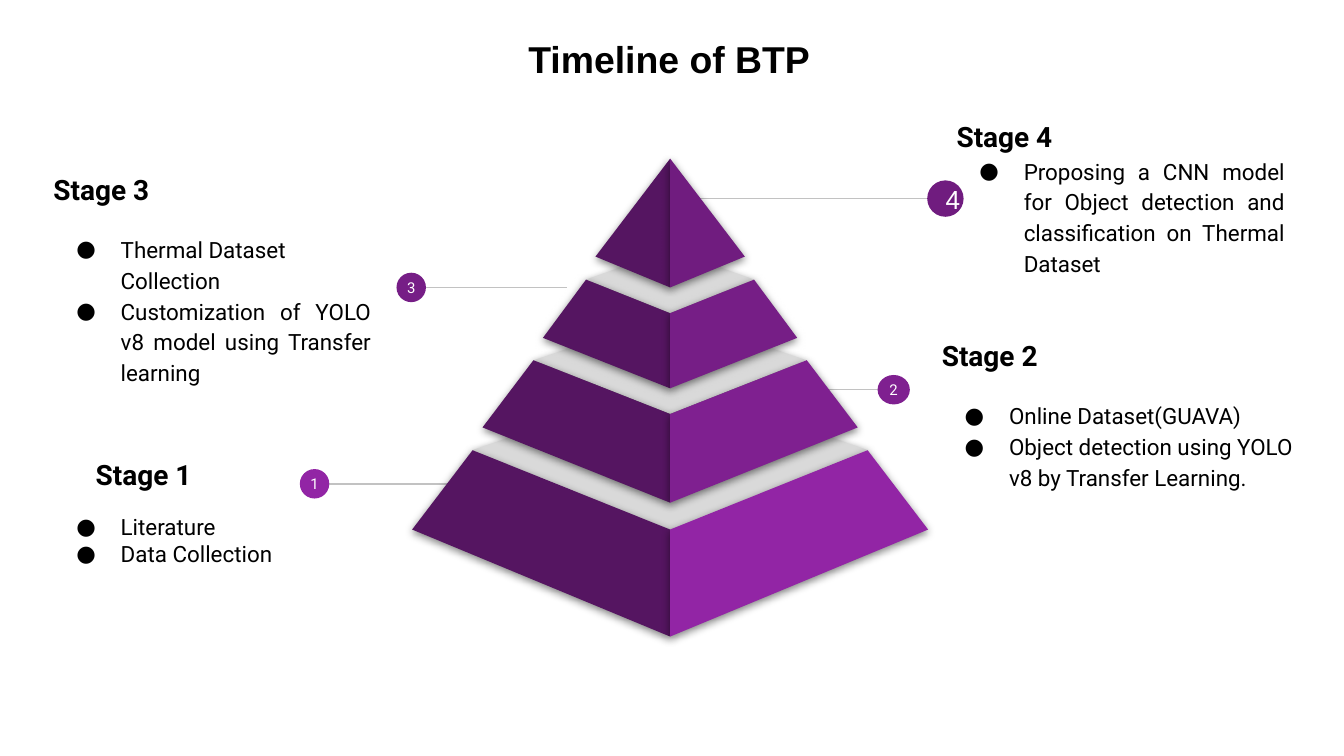
from dataclasses import dataclass

from lxml import etree
from pptx import Presentation
from pptx import util as u
from pptx.dml.color import RGBColor
from pptx.enum import shapes, text
from pptx.oxml import ns


@dataclass(frozen=True)
class Theme:
    ink: str = "000000"
    paper: str = "FFFFFF"
    rule: str = "C2C2C2"
    lid: str = "D9D9D9"
    shade: str = "551561"
    purples: tuple[str, ...] = ("9225A5", "7F2090", "761E86", "701C7F")
    title_font: str = "Arial"
    body_font: str = "Roboto"
    title_size: float = 20
    heading_size: float = 15
    body_size: float = 12
    marker_size: float = 8
    top_marker_size: float = 14
    inset: float = 7.2


@dataclass(frozen=True)
class Bullet:
    words: str
    justified: bool = False


@dataclass(frozen=True)
class Stage:
    number: int
    box: tuple[float, float, float, float]
    bullets: tuple[Bullet, ...]
    gap: float
    marker: tuple[float, float]
    marker_size: tuple[float, float]
    line_start: float
    heading_indent: float = 0
    spacing: float = 1.15
    number_font: str = "Roboto"
    number_size: float = 8
    number_shift: float = 0


@dataclass(frozen=True)
class Lid:
    half: float
    side: float
    front: float
    back: float


@dataclass(frozen=True)
class Tier:
    top_half: float
    top_side: float
    top_ridge: float
    base_half: float
    base_side: float
    base_ridge: float


THEME = Theme()
AXIS = 359
STAGES = (
    Stage(1, (21.6, 238.1, 132.5, 71.8), (Bullet("Literature"), Bullet("Data Collection")),
          11.7, (168.5, 259.2), (15.8, 15.8), 252, heading_indent=22.6, spacing=1),
    Stage(2, (497.5, 174.1, 213.1, 94.6),
          (Bullet("Online Dataset(GUAVA)", True),
           Bullet("Object detection using YOLO v8 by Transfer Learning.")),
          14, (478.8, 208.8), (17.3, 15.8), 420.5),
    Stage(3, (21.6, 85, 184.3, 127),
          (Bullet("Thermal Dataset Collection"),
           Bullet("Customization of YOLO v8 model using Transfer learning", True)),
          14, (220.3, 154), (15.8, 15.8), 303.8),
    Stage(4, (505.4, 57.1, 190.1, 96.7),
          (Bullet("Proposing a CNN model for Object detection and classification "
                  "on Thermal Dataset", True),),
          0, (506.5, 106.4), (19.5, 19.5), 375.1,
          number_font=THEME.title_font, number_size=THEME.top_marker_size, number_shift=7),
)
LIDS = (
    Lid(106, 241.2, 284.4, 205.2),
    Lid(91.8, 222, 258.5, 190.8),
    Lid(73, 193, 221.8, 168.5),
    Lid(45, 149.8, 167.8, 133.9),
)
TIERS = (
    Tier(105.8, 241.2, 283.7, 138.2, 283.7, 341),
    Tier(73.2, 193, 221.8, 100.5, 229, 269.3),
    Tier(45, 149.8, 167.8, 68.1, 181, 208),
    Tier(0, 85, 85, 40, 137.5, 154),
)


def add_run(paragraph, words: str, font: str, size: float, color: str, bold: bool = False) -> None:
    run = paragraph.add_run()
    run.text = words
    run.font.name = font
    run.font.size = u.Pt(size)
    run.font.bold = bold
    run.font.color.rgb = RGBColor.from_string(color)


def add_box(slide, box: tuple[float, ...]):
    frame = slide.shapes.add_textbox(*map(u.Pt, box)).text_frame
    frame.word_wrap = True
    frame.margin_left = frame.margin_right = u.Pt(THEME.inset)
    frame.margin_top = frame.margin_bottom = u.Pt(THEME.inset)
    return frame


def add_bullet(paragraph) -> None:
    properties = paragraph._p.get_or_add_pPr()
    properties.set("marL", str(u.Pt(36)))
    properties.set("indent", str(-u.Pt(23.76)))
    color = etree.SubElement(properties, ns.qn("a:buClr"))
    etree.SubElement(color, ns.qn("a:srgbClr"), val=THEME.ink)
    etree.SubElement(properties, ns.qn("a:buFont"), typeface=THEME.body_font)
    etree.SubElement(properties, ns.qn("a:buChar"), char="●")


def draw_stage_text(slide, stage: Stage) -> None:
    frame = add_box(slide, stage.box)
    heading = frame.paragraphs[0]
    if stage.heading_indent:
        heading._p.get_or_add_pPr().set("marL", str(u.Pt(stage.heading_indent)))
    add_run(heading, f"Stage {stage.number}", THEME.body_font, THEME.heading_size, THEME.ink, True)
    for index, bullet in enumerate(stage.bullets):
        paragraph = frame.add_paragraph()
        add_bullet(paragraph)
        paragraph.line_spacing = stage.spacing
        paragraph.space_before = u.Pt(0 if index else stage.gap)
        paragraph.alignment = text.PP_ALIGN.JUSTIFY if bullet.justified else text.PP_ALIGN.LEFT
        add_run(paragraph, bullet.words, THEME.body_font, THEME.body_size, THEME.ink)


def draw_marker(slide, stage: Stage) -> None:
    (x, y), (width, height) = stage.marker, stage.marker_size
    line = slide.shapes.add_connector(
        shapes.MSO_CONNECTOR.STRAIGHT, u.Pt(stage.line_start), u.Pt(y), u.Pt(x), u.Pt(y))
    line.line.color.rgb = RGBColor.from_string(THEME.rule)
    line.line.width = u.Pt(0.75)
    etree.SubElement(line._element.spPr, ns.qn("a:effectLst"))

    circle = slide.shapes.add_shape(
        shapes.MSO_SHAPE.OVAL, u.Pt(x - width / 2), u.Pt(y - height / 2), u.Pt(width), u.Pt(height))
    paint(circle, THEME.purples[stage.number - 1])
    frame = circle.text_frame
    frame.word_wrap = True
    frame.vertical_anchor = text.MSO_ANCHOR.MIDDLE
    frame.margin_top = frame.margin_bottom = frame.margin_right = 0
    frame.margin_left = u.Pt(stage.number_shift)
    frame.paragraphs[0].alignment = text.PP_ALIGN.CENTER
    add_run(frame.paragraphs[0], str(stage.number), stage.number_font, stage.number_size, THEME.paper)


def paint(shape, color: str) -> None:
    shape.fill.solid()
    shape.fill.fore_color.rgb = RGBColor.from_string(color)
    shape.line.fill.background()
    shape.shadow.inherit = False


def draw_polygon(slide, points: list[tuple[float, float]], color: str) -> None:
    corners = [(u.Pt(x), u.Pt(y)) for x, y in points]
    builder = slide.shapes.build_freeform(*corners[0])
    builder.add_line_segments(corners[1:], close=True)
    shape = builder.convert_to_shape()
    paint(shape, color)
    effects = shape._element.spPr.find(ns.qn("a:effectLst"))
    shadow = etree.SubElement(
        effects, ns.qn("a:outerShdw"), blurRad=str(u.Pt(4.5)), dist=str(u.Pt(1.5)),
        dir="5400000", algn="bl", rotWithShape="0")
    shade = etree.SubElement(shadow, ns.qn("a:srgbClr"), val=THEME.ink)
    etree.SubElement(shade, ns.qn("a:alpha"), val="50000")


def draw_lid(slide, lid: Lid) -> None:
    draw_polygon(slide, [(AXIS - lid.half, lid.side), (AXIS, lid.front),
                         (AXIS + lid.half, lid.side), (AXIS, lid.back)], THEME.lid)


def draw_tier(slide, tier: Tier, color: str) -> None:
    for side, fill in ((-1, THEME.shade), (1, color)):
        points = [(AXIS, tier.top_ridge), (AXIS, tier.base_ridge),
                  (AXIS + side * tier.base_half, tier.base_side)]
        if tier.top_half:
            points.append((AXIS + side * tier.top_half, tier.top_side))
        draw_polygon(slide, points, fill)


def main() -> None:
    presentation = Presentation()
    presentation.slide_width, presentation.slide_height = u.Pt(720), u.Pt(405)
    slide = presentation.slides.add_slide(presentation.slide_layouts[6])
    for stage in STAGES:
        draw_stage_text(slide, stage)
        draw_marker(slide, stage)
    for lid in LIDS:
        draw_lid(slide, lid)
    for tier, color in zip(TIERS, THEME.purples):
        draw_tier(slide, tier, color)
    title = add_box(slide, (61.9, 12.2, 593.3, 38.9)).paragraphs[0]
    title.alignment = text.PP_ALIGN.CENTER
    add_run(title, "Timeline of BTP", THEME.title_font, THEME.title_size, THEME.ink, True)
    presentation.save("out.pptx")


if __name__ == "__main__":
    main()
